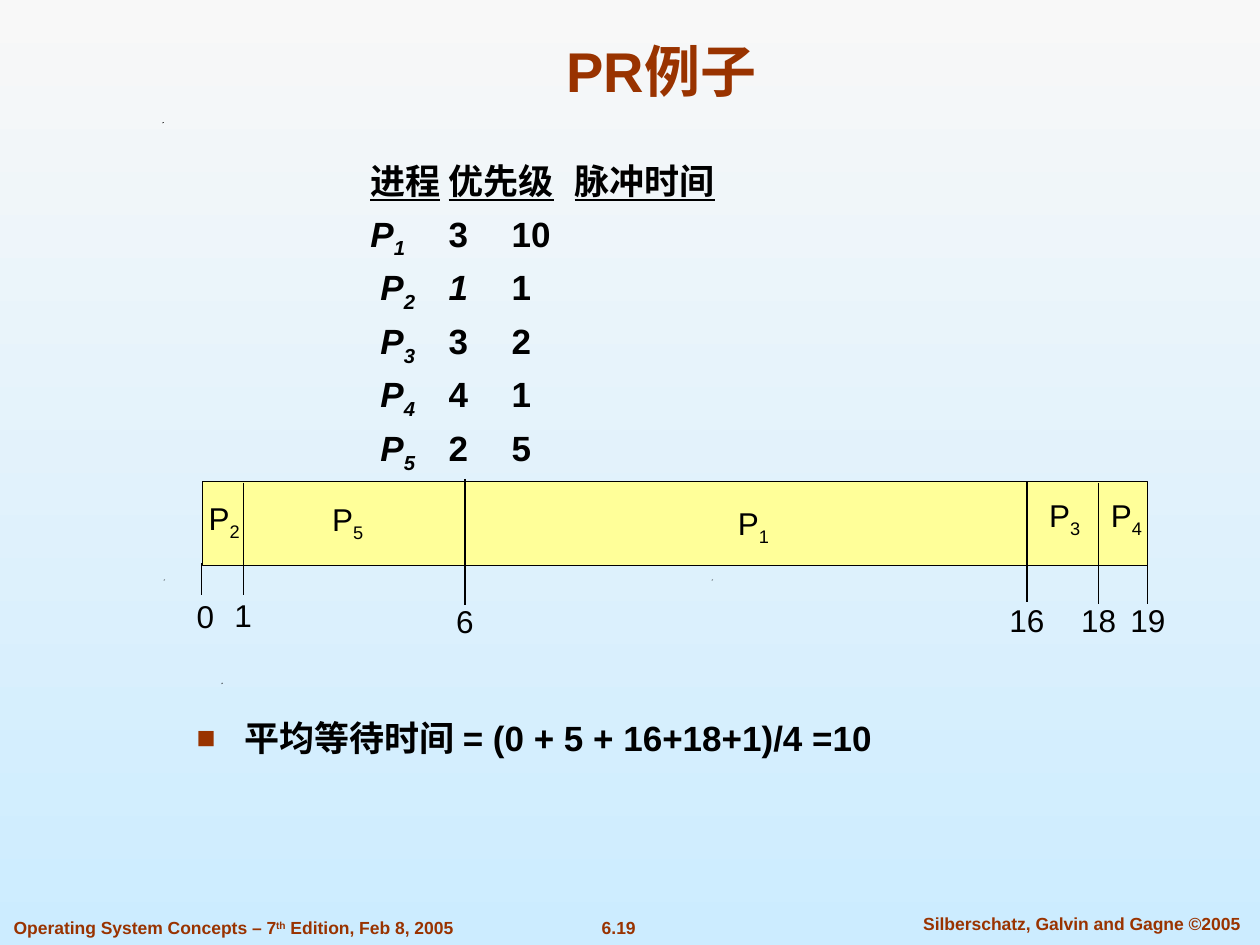
from dataclasses import dataclass

from lxml import etree
from pptx import Presentation
from pptx.dml.color import RGBColor
from pptx.enum.shapes import MSO_CONNECTOR, MSO_SHAPE
from pptx.enum.text import MSO_ANCHOR, MSO_AUTO_SIZE, PP_ALIGN
from pptx.oxml.ns import qn
from pptx.util import Emu, Inches, Pt

CENTER, LEFT = PP_ALIGN.CENTER, PP_ALIGN.LEFT
MIDDLE, BOTTOM, TOP = MSO_ANCHOR.MIDDLE, MSO_ANCHOR.BOTTOM, MSO_ANCHOR.TOP


@dataclass(frozen=True)
class Theme:
    font: str = "Arial"
    accent: str = "993300"
    ink: str = "000000"
    bar: str = "FFFF99"
    sky: tuple = ("F8F8F8", "CCECFF")
    title: int = 32
    body: int = 20
    label: int = 18
    footer: int = 10


THEME = Theme()
BOLD, PLAIN = {"bold": True}, {}
ITALIC = {"bold": True, "italic": True}
UNDERLINE = {"bold": True, "underline": True}
SUBSCRIPT, SUPERSCRIPT = -25, 30

TITLE = "PR例子"
HEADINGS = ["进程", "优先级", "脉冲时间"]
# process number, priority, style of the priority, burst time, offset of the name
PROCESSES = [
    ("1", "3", BOLD, "10", 0),
    ("2", "1", ITALIC, "1", 0.08),
    ("3", "3", BOLD, "2", 0.08),
    ("4", "4", BOLD, "1", 0.08),
    ("5", "2", BOLD, "5", 0.08),
]
SUMMARY = "平均等待时间 = (0 + 5 + 16+18+1)/4 =10"
FIRST_COLUMN, COLUMN_STEP = 1.38, 1
ROW_GAP, SUMMARY_GAP = 8.8, 146

BAR = (1.61, 3.82, 7.5, 0.67)
# time, x, top and bottom of the tick, top of the label
TICKS = [
    ("0", 1.6, 4.47, 4.72, 4.69),
    ("1", 1.93, 3.83, 4.72, 4.68),
    ("6", 3.69, 3.8, 4.8, 4.73),
    ("16", 8.15, 3.82, 4.78, 4.72),
    ("18", 8.72, 3.83, 4.79, 4.72),
    ("19", 9.11, 3.83, 4.79, 4.72),
]
# process number, centre and top of its label
BURSTS = [("2", 1.78, 3.91), ("5", 2.76, 3.92), ("1", 5.98, 3.95),
          ("3", 8.45, 3.89), ("4", 8.94, 3.89)]

FOOTERS = [
    ((4.42, 7.23, 0.98, 0.27), CENTER, [("6.19", BOLD, 0)]),
    ((7.1, 7.2, 2.97, 0.27), CENTER, [("Silberschatz, Galvin and Gagne ©2005", BOLD, 0)]),
    ((0.01, 7.23, 3.69, 0.27), LEFT, [("Operating System Concepts – 7", BOLD, 0),
                                      ("th", BOLD, SUPERSCRIPT),
                                      (" Edition, Feb 8, 2005", BOLD, 0)]),
]
SPECKS = [(1.76, 5.42), (1.3, 4.6), (5.65, 4.6), (1.29, 0.97)]
SPECK_SIZE = 0.01


def color(value):
    return RGBColor.from_string(value)


def write(para, spans, size, ink=THEME.ink):
    """Add (text, style, baseline percent) spans to a paragraph."""
    for text, style, baseline in spans:
        span = para.add_run()
        span.text = text
        for name, value in {"name": THEME.font, "size": Pt(size), **style}.items():
            setattr(span.font, name, value)
        span.font.color.rgb = color(ink)
        if baseline:
            span.font._element.set("baseline", str(baseline * 1000))


def place(shape, frame):
    for name, value in zip(("left", "top", "width", "height"), frame):
        setattr(shape, name, Inches(value))


def add_text(shapes, frame, spans, size, ink=THEME.ink, align=CENTER, anchor=MIDDLE):
    box = shapes.add_textbox(*map(Inches, frame))
    box.text_frame.word_wrap = False
    box.text_frame.vertical_anchor = anchor
    para = box.text_frame.paragraphs[0]
    para.alignment = align
    write(para, spans, size, ink)


def format_paragraph(para, margin, indent, gap, bullet=None, tabs=()):
    para.line_spacing = 0.8
    para.space_before = Pt(gap)
    properties = para._p.get_or_add_pPr()
    properties.set("marL", str(Inches(margin)))
    properties.set("indent", str(Inches(indent)))
    if bullet:
        tint = etree.SubElement(properties, qn("a:buClr"))
        etree.SubElement(tint, qn("a:srgbClr"), val=THEME.accent)
        etree.SubElement(properties, qn("a:buSzPct"), val="90000")
        etree.SubElement(properties, qn("a:buFont"), typeface=THEME.font)
        etree.SubElement(properties, qn("a:buChar"), char=bullet)
    else:
        etree.SubElement(properties, qn("a:buNone"))
    if tabs:
        stops = etree.SubElement(properties, qn("a:tabLst"))
        for stop in tabs:
            etree.SubElement(stops, qn("a:tab"), pos=str(Inches(stop)), algn="l")


def fill_body(body):
    place(body, (1.46, 1.28, 7.69, 5.32))
    frame = body.text_frame
    frame.auto_size = MSO_AUTO_SIZE.NONE
    frame.vertical_anchor = TOP
    tabs = [FIRST_COLUMN + COLUMN_STEP * step for step in (1, 2)]

    heading_spans = []
    for index, heading in enumerate(HEADINGS):
        if index:
            heading_spans.append(("\t", BOLD, 0))
        heading_spans.append((heading, UNDERLINE, 0))
    rows = [(heading_spans, 0)]
    for number, priority, style, burst, offset in PROCESSES:
        rows.append(([("P", ITALIC, 0), (number, ITALIC, SUBSCRIPT), ("\t", BOLD, 0),
                      (priority, style, 0), ("\t" + burst, BOLD, 0)], offset))

    for index, (spans, offset) in enumerate(rows):
        para = frame.add_paragraph() if index else frame.paragraphs[0]
        format_paragraph(para, 0, FIRST_COLUMN + offset, ROW_GAP if index else 0, tabs=tabs)
        write(para, spans, THEME.body)
    para = frame.add_paragraph()
    format_paragraph(para, 0.38, -0.38, SUMMARY_GAP, bullet="■")
    write(para, [(SUMMARY, BOLD, 0)], THEME.body)


def add_gantt(page):
    shapes = page.shapes.add_group_shape().shapes
    bar = shapes.add_shape(MSO_SHAPE.RECTANGLE, *map(Inches, BAR))
    bar.shadow.inherit = False
    bar.fill.solid()
    bar.fill.fore_color.rgb = color(THEME.bar)
    bar.line.color.rgb = color(THEME.ink)
    bar.line.width = Pt(0.75)
    for time, x, top, bottom, label_top in TICKS:
        tick = shapes.add_connector(MSO_CONNECTOR.STRAIGHT, *map(Inches, (x, top, x, bottom)))
        tick.line.color.rgb = color(THEME.ink)
        tick.line.width = Pt(0.75)
        etree.SubElement(tick._element.spPr, qn("a:effectLst"))
        width = 0.2 + 0.14 * len(time)
        center = x + (0.03 if time == "0" else 0)
        add_text(shapes, (center - width / 2, label_top, width, 0.4),
                 [(time, PLAIN, 0)], THEME.label)
    for number, center, top in BURSTS:
        add_text(shapes, (center - 0.225, top, 0.45, 0.44),
                 [("P", PLAIN, 0), (number, PLAIN, SUBSCRIPT)], THEME.label)


def add_specks(page):
    for x, y in SPECKS:
        corners = [(x + SPECK_SIZE, y), (x, y + SPECK_SIZE)]
        outline = page.shapes.build_freeform(Inches(x), Inches(y))
        outline.add_line_segments([(Inches(a), Inches(b)) for a, b in corners], close=True)
        speck = outline.convert_to_shape(Emu(0), Emu(0))
        speck.shadow.inherit = False
        speck.fill.solid()
        speck.fill.fore_color.rgb = color(THEME.ink)
        speck.line.fill.background()


def main():
    deck = Presentation()
    deck.slide_width, deck.slide_height = Inches(10), Inches(7.5)
    page = deck.slides.add_slide(deck.slide_layouts[1])
    backdrop = page.background.fill
    backdrop.gradient()
    backdrop.gradient_angle = 270
    for stop, position, tint in zip(backdrop.gradient_stops, (0, 1), THEME.sky):
        stop.position = position
        stop.color.rgb = color(tint)

    add_specks(page)
    for frame, align, spans in FOOTERS:
        add_text(page.shapes, frame, spans, THEME.footer, THEME.accent, align, TOP)

    title = page.shapes.title
    place(title, (1.56, 0.31, 7.38, 0.56))
    title.text_frame.auto_size = MSO_AUTO_SIZE.NONE
    title.text_frame.vertical_anchor = BOTTOM
    title.text_frame.paragraphs[0].alignment = CENTER
    write(title.text_frame.paragraphs[0], [(TITLE, BOLD, 0)], THEME.title, THEME.accent)
    fill_body(page.placeholders[1])
    add_gantt(page)
    deck.save("out.pptx")


if __name__ == "__main__":
    main()
